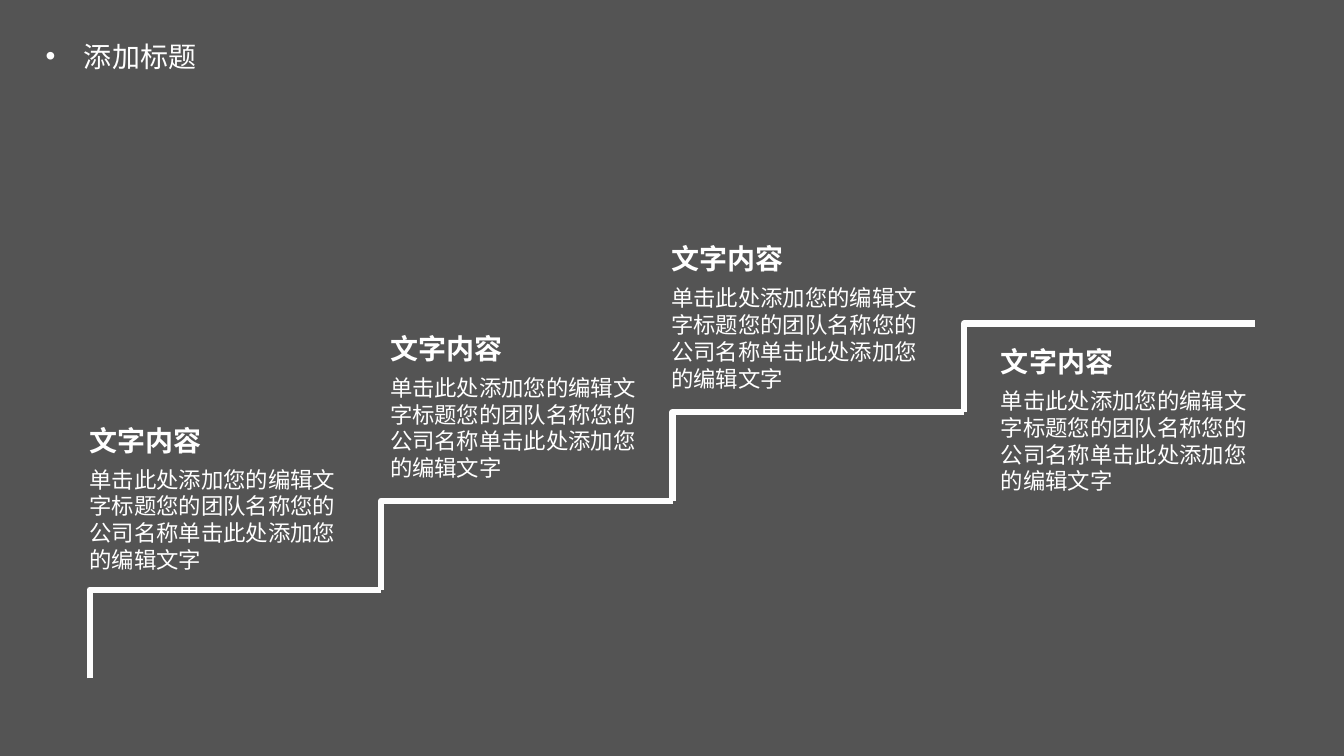
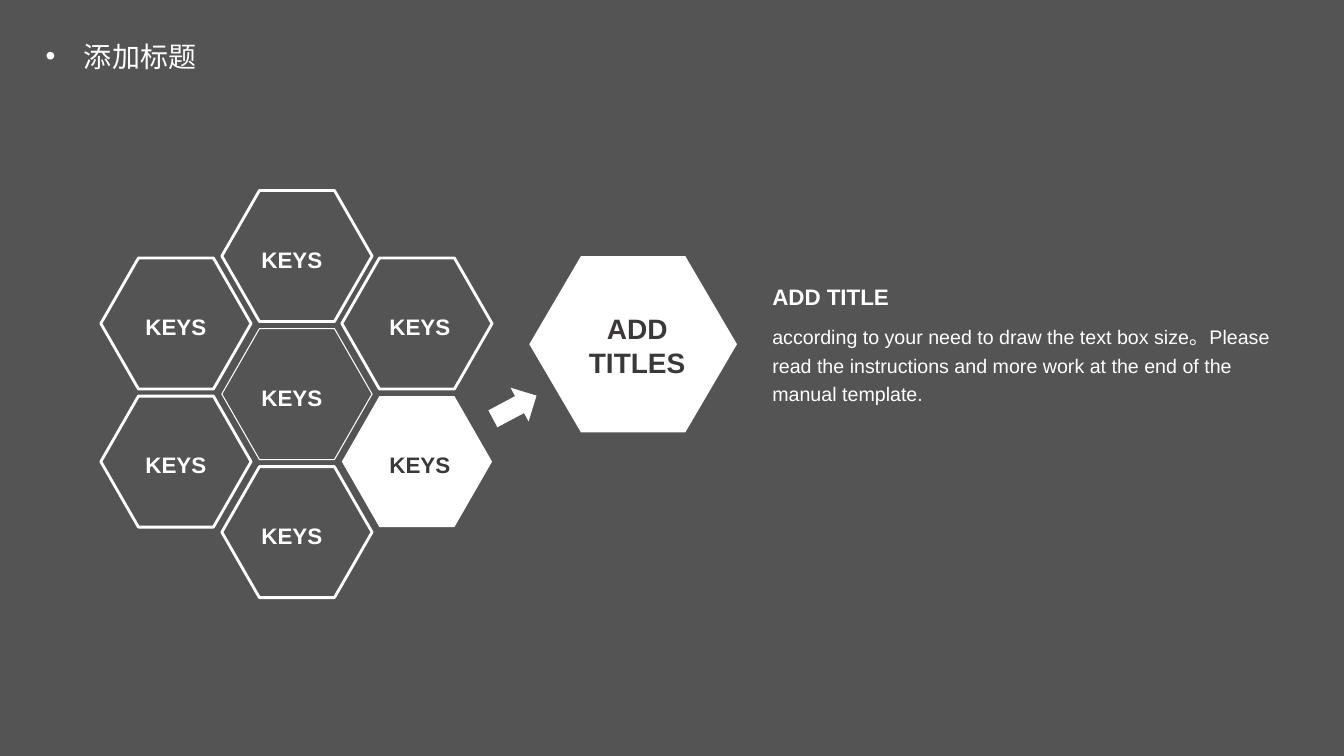
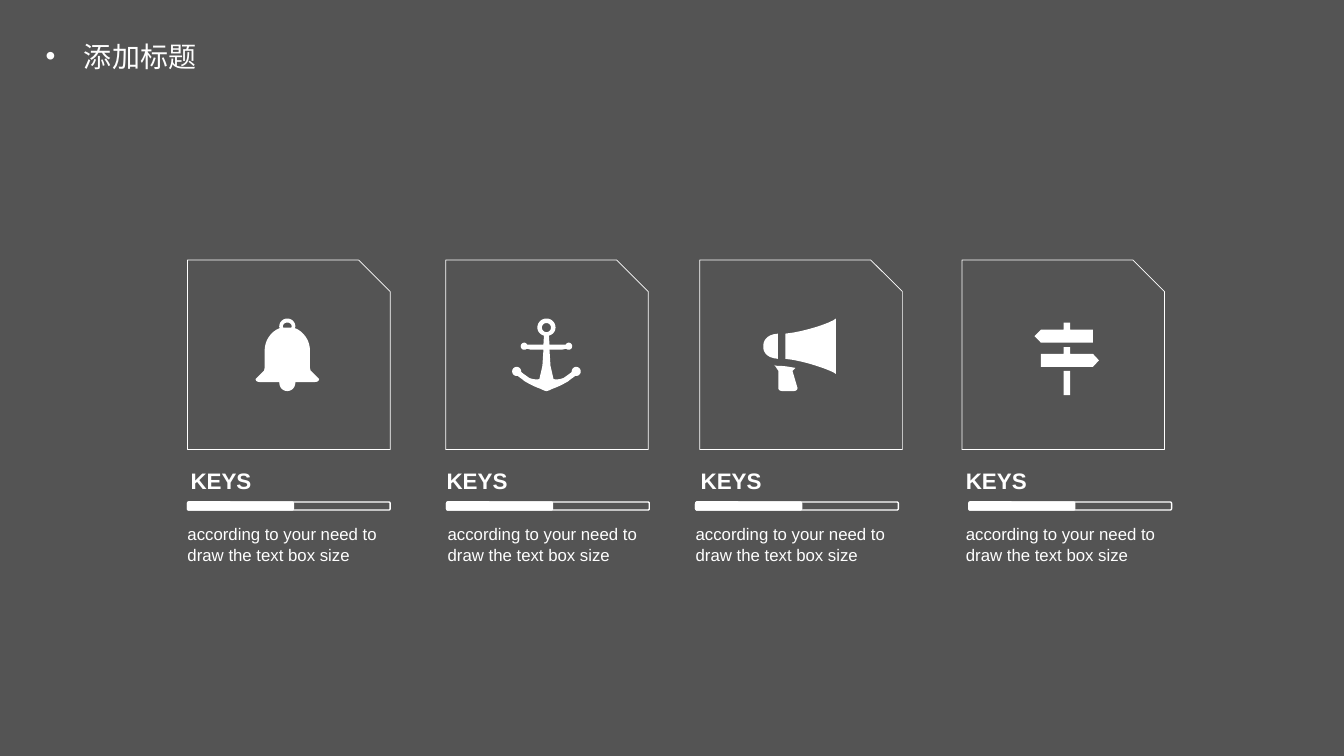
from lxml.etree import SubElement
from pptx import Presentation
from pptx.dml.color import RGBColor
from pptx.enum.shapes import MSO_SHAPE
from pptx.enum.text import MSO_ANCHOR, PP_ALIGN
from pptx.oxml.ns import qn
from pptx.util import Inches, Pt

WHITE, DARK, GREY, STAIR = "FFFFFF", "3B3838", "545454", "FDFDFD"
LATIN, HAN, OPEN = "Arial", "Noto Sans CJK SC", "Open Sans"

# Icon contours in hundredths of an inch: a pair is a corner,
# six numbers are a cubic curve from the point before.
BELL = [
    [(0, 0), (4.4, 0, 8, 3.6, 8, 8), (7.5, 9.5),
     (16.5, 13, 22.5, 22, 22.5, 32), (22.5, 49), (23, 51.5), (31.5, 60),
     (31.5, 62, 29.5, 63, 27.5, 63), (8, 63), (8, 68.5, 4.4, 72, 0, 72)],
    [(0, 4), (2.4, 4, 4.4, 5.6, 4.4, 8), (4, 9), (0, 9)],
]
ANCHOR = [
    [(0, 0), (5, 0, 9, 4, 9, 9), (9, 13, 6, 16, 2.5, 17), (3, 26), (19, 26),
     (20, 24.5, 21, 24, 22, 24), (24, 24, 25.5, 25.5, 25.5, 27.5),
     (25.5, 29.5, 24, 31, 22, 31), (21, 31, 20, 30.5, 19.5, 30), (15, 31),
     (3, 31), (4, 47), (7, 60), (10, 61, 14, 60, 17, 59),
     (21, 56, 23, 55, 25, 53), (25, 50, 27, 48, 29.5, 48),
     (32, 48, 34, 50, 34, 52.5), (34, 55, 32, 57, 29.5, 57), (28.5, 57),
     (26, 59, 24, 60, 22, 62), (17, 65, 13, 67, 8, 69), (7, 69, 2, 72, 0, 72)],
    [(0, 4.5), (2.5, 4.5, 4.5, 6.5, 4.5, 9), (4.5, 11.5, 2.5, 13.5, 0, 13.5)],
]
MEGAPHONE = [
    [(11, 46), (12, 47, 14, 47, 16, 47), (21, 47, 26, 48, 32, 49), (29, 52),
     (34, 69), (34, 71, 32, 72, 30, 72), (19, 72), (17, 72, 15, 71, 15, 69),
     (15, 52)],
    [(22, 40), (42, 42, 69, 52, 72, 55), (72, 0), (68, 4, 42, 13, 22, 15)],
    [(14.5, 40), (14.5, 15), (2, 16, 0, 23, 0, 28), (0, 32, 2, 39, 14.5, 40)],
]
SIGNPOST = [
    [(0, 13.5), (6.5, 7), (29, 7), (29, 0), (35.5, 0), (35.5, 7), (58, 7),
     (58, 20), (6.5, 20)],
    [(6.5, 31), (29, 31), (29, 24.5), (35.5, 24.5), (35.5, 31), (58, 31),
     (64, 37.5), (58, 44), (6.5, 44)],
    [(29, 48), (35.5, 48), (35.5, 72), (29, 72)],
]


def color(hex_string):
    return RGBColor.from_string(hex_string)


def paint(shape, fill=None, line=None, weight=1):
    shape.shadow.inherit = False
    if fill:
        shape.fill.solid()
        shape.fill.fore_color.rgb = color(fill)
    else:
        shape.fill.background()
    if line:
        shape.line.color.rgb = color(line)
        shape.line.width = Pt(weight)
    else:
        shape.line.fill.background()
    return shape


def add_preset(slide, kind, left, top, width, height, adjust=(), **look):
    shape = slide.shapes.add_shape(
        kind, Inches(left), Inches(top), Inches(width), Inches(height))
    for index, value in enumerate(adjust):
        shape.adjustments[index] = value
    return paint(shape, **look)


def add_outline(slide, contours, closed=True, **look):
    """Draw contours, given as points in inches, as one freeform."""
    builder = None
    for contour in contours:
        start, *rest = [(Inches(x), Inches(y)) for x, y in contour]
        if builder is None:
            builder = slide.shapes.build_freeform(*start, scale=1.0)
        else:
            builder.move_to(*start)
        builder.add_line_segments(rest, close=closed)
    return paint(builder.convert_to_shape(), **look)


def flatten(contour, steps=8):
    """Replace each curve of a contour by short straight segments."""
    points = []
    for item in contour:
        if len(item) == 2:
            points.append(item)
            continue
        ends = points[-1], item[:2], item[2:4], item[4:]
        for step in range(1, steps + 1):
            t = step / steps
            weights = (1 - t) ** 3, 3 * t * (1 - t) ** 2, 3 * t * t * (1 - t), t ** 3
            points.append(tuple(
                sum(w * end[axis] for w, end in zip(weights, ends))
                for axis in (0, 1)))
    return points


def add_icon(slide, contours, left, top, mirrored):
    """Draw an icon; a mirrored one lists its right half, left being its axis."""
    outlines = []
    for contour in contours:
        points = flatten(contour)
        if mirrored:
            points += [(-x, y) for x, y in reversed(points[1:-1])]
        outlines.append([(left + x / 100, top + y / 100) for x, y in points])
    add_outline(slide, outlines, fill=WHITE)


def add_text(slide, text, left, top, width, height, size, font=LATIN,
             ink=WHITE, bold=False, align=PP_ALIGN.LEFT, spacing=None,
             inset=True, middle=False):
    box = slide.shapes.add_textbox(
        Inches(left), Inches(top), Inches(width), Inches(height))
    frame = box.text_frame
    frame.word_wrap = True
    if not inset:
        frame.margin_left = frame.margin_right = 0
        frame.margin_top = frame.margin_bottom = 0
    if middle:
        frame.vertical_anchor = MSO_ANCHOR.MIDDLE
    frame.text = text
    para = frame.paragraphs[0]
    para.alignment = align
    para.line_spacing = spacing
    span = para.runs[0]
    span.font.size = Pt(size)
    span.font.bold = bold
    span.font.color.rgb = color(ink)
    span.font.name = font
    SubElement(span.font._element, qn("a:ea")).set("typeface", HAN)
    return para


def add_page(deck):
    """Add a slide with the shared bulleted title."""
    page = deck.slides.add_slide(deck.slide_layouts[6])
    para = add_text(page, "添加标题", 0.31, 0.33, 1.78, 0.44, 20, HAN,
                    align=PP_ALIGN.CENTER, spacing=Pt(25))
    properties = para._p.get_or_add_pPr()
    properties.set("marL", str(Inches(0.38)))
    properties.set("indent", str(Inches(-0.38)))
    SubElement(properties, qn("a:buFont")).set("typeface", LATIN)
    SubElement(properties, qn("a:buChar")).set("char", "•")
    return page


def build_stairs(page):
    run, rise = 2.89, 0.88
    for index in range(4):
        left, top = 0.89 + index * run, 5.85 - index * rise
        corners = [(left, top + rise), (left, top), (left + run, top)]
        add_outline(page, [corners], closed=False, line=STAIR, weight=4.5)
    body = "单击此处添加您的编辑文字标题您的团队名称您的公司名称单击此处添加您的编辑文字"
    for left, top in ((0.79, 4.12), (3.77, 3.21), (6.56, 2.32), (9.83, 3.34)):
        add_text(page, "文字内容", left, top, 1.7, 0.77, 20, HAN, bold=True,
                 spacing=Pt(26))
        add_text(page, body, left, top + 0.45, 2.8, 1.18, 16, OPEN,
                 spacing=Pt(19.2))


def build_honeycomb(page):
    # left, first top, cell count, label left
    columns = ((1, 2.56, 2, 1.28), (2.2, 1.89, 3, 2.43), (3.39, 2.56, 2, 3.7))
    pitch = 1.37
    for column, (left, first_top, count, label_left) in enumerate(columns):
        for row in range(count):
            top = first_top + row * pitch
            look, ink = {"line": WHITE, "weight": 2}, WHITE
            if (column, row) == (1, 1):
                look["weight"] = 0.75
            elif (column, row) == (2, 1):
                look, ink = {"fill": WHITE}, DARK
            add_preset(page, MSO_SHAPE.HEXAGON, left, top, 1.49, 1.3,
                       (0.287, 1.1547), **look)
            add_text(page, "KEYS", label_left, top + 0.55, 0.93, 0.27, 16,
                     ink=ink, bold=True, align=PP_ALIGN.CENTER, inset=False)
    add_preset(page, MSO_SHAPE.HEXAGON, 5.25, 2.54, 2.06, 1.75,
               (0.293, 1.1547), fill=WHITE)
    add_text(page, "ADD TITLES", 5.49, 3.04, 1.66, 0.77, 20, ink=DARK,
             bold=True, align=PP_ALIGN.CENTER, middle=True)
    arrow = add_preset(page, MSO_SHAPE.RIGHT_ARROW, 4.86, 3.85, 0.49, 0.38,
                       fill=WHITE)
    arrow.rotation = 332
    add_text(page, "ADD TITLE", 7.66, 2.81, 3.01, 0.27, 16, bold=True,
             inset=False)
    add_text(page, "according to your need to draw the text box size。"
             "Please read the instructions and more work at the end of "
             "the manual template.", 7.66, 3.18, 4.95, 0.85, 14,
             spacing=1.2, inset=False)


def build_cards(page):
    # left of the frame, label, bar and text; then the icon and its place
    cards = (
        (1.86, 1.89, 1.86, 1.86, BELL, 2.85, 3.16, True),
        (4.42, 4.43, 4.43, 4.44, ANCHOR, 5.42, 3.16, True),
        (6.94, 6.95, 6.9, 6.9, MEGAPHONE, 7.57, 3.16, False),
        (9.54, 9.58, 9.61, 9.58, SIGNPOST, 10.26, 3.2, False),
    )
    for frame, label, bar, text, *icon in cards:
        add_preset(page, MSO_SHAPE.SNIP_1_RECTANGLE, frame, 2.58, 2.01, 1.88,
                   line=WHITE, weight=0.5)
        add_icon(page, *icon)
        add_text(page, "KEYS", label, 4.63, 0.88, 0.27, 16, bold=True,
                 inset=False)
        for width, fill in ((2.01, None), (1.05, WHITE)):
            add_preset(page, MSO_SHAPE.ROUNDED_RECTANGLE, bar, 4.98, width,
                       0.08, fill=fill, line=WHITE)
        add_text(page, "according to your need to draw the text box size",
                 text, 5.2, 1.97, 0.4, 12, inset=False)


def main():
    deck = Presentation()
    deck.slide_width, deck.slide_height = Inches(13.33), Inches(7.5)
    backdrop = deck.slide_master.background.fill
    backdrop.solid()
    backdrop.fore_color.rgb = color(GREY)
    for build in (build_stairs, build_honeycomb, build_cards):
        build(add_page(deck))
    deck.save("out.pptx")


if __name__ == "__main__":
    main()
